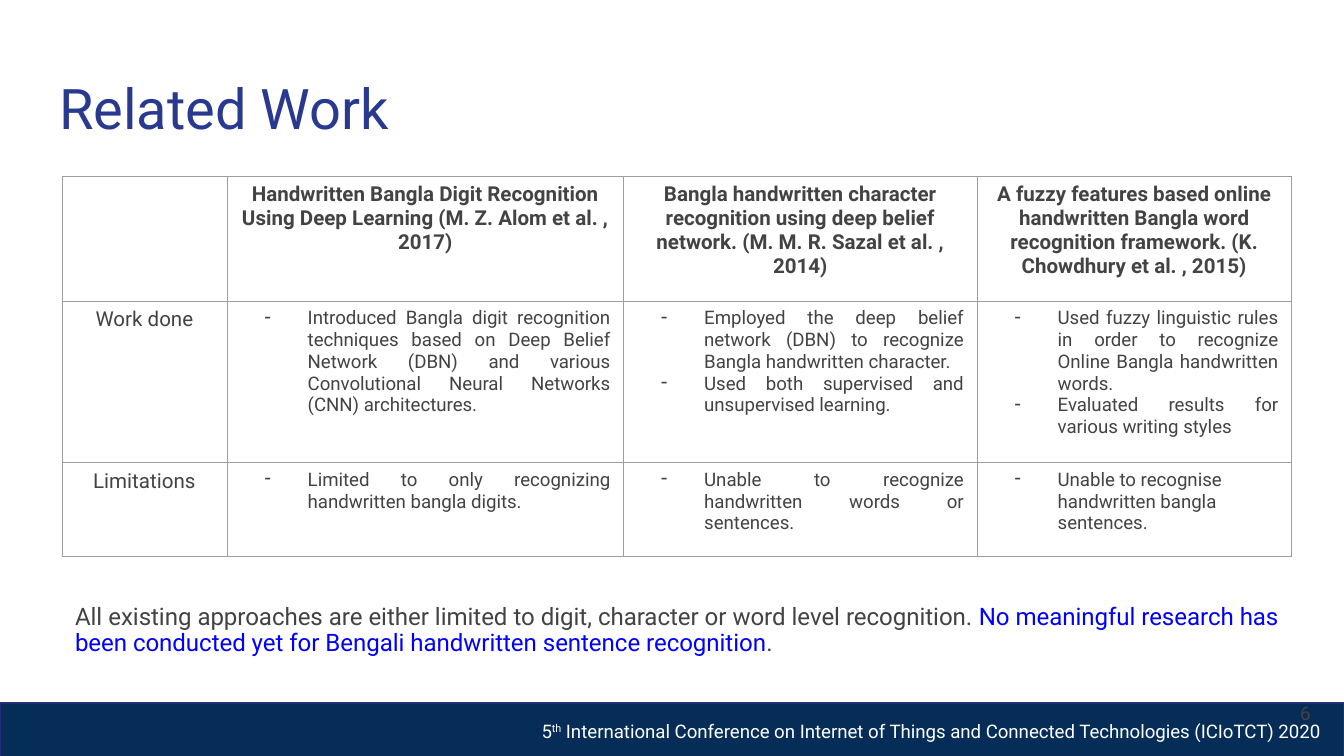
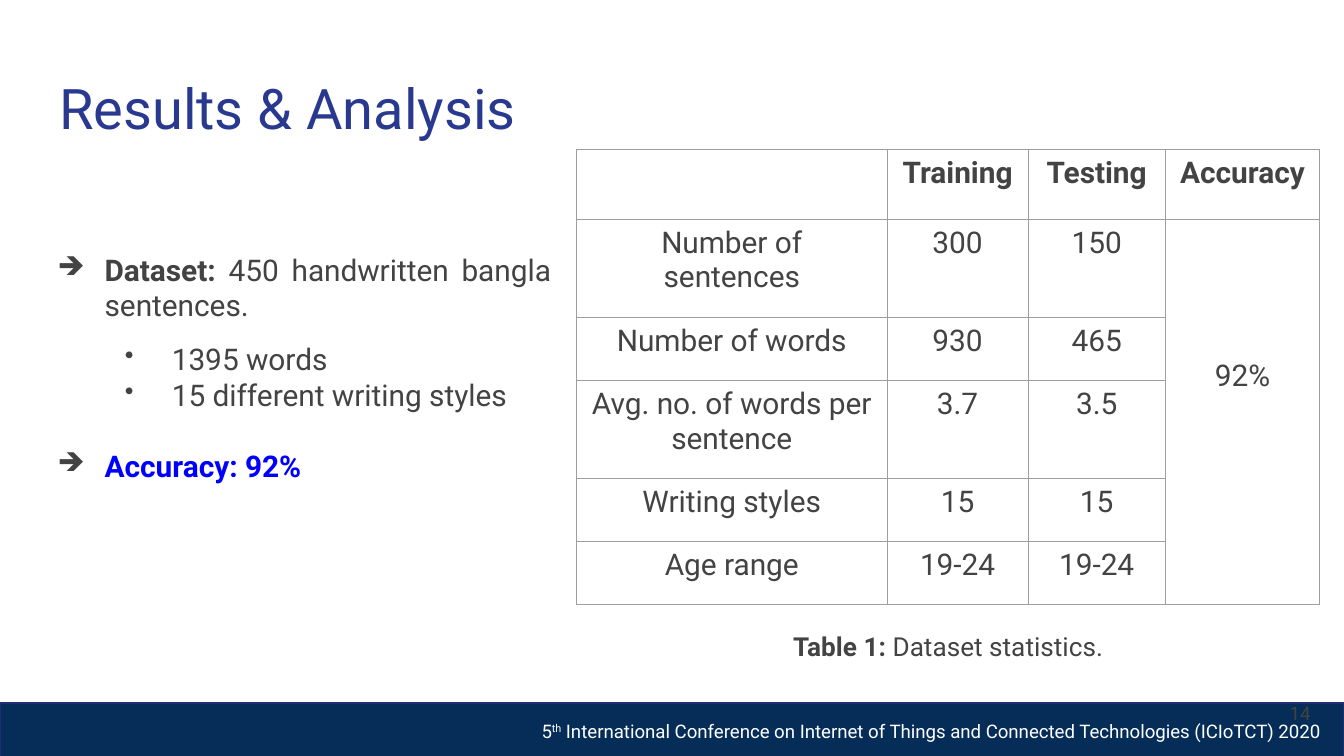
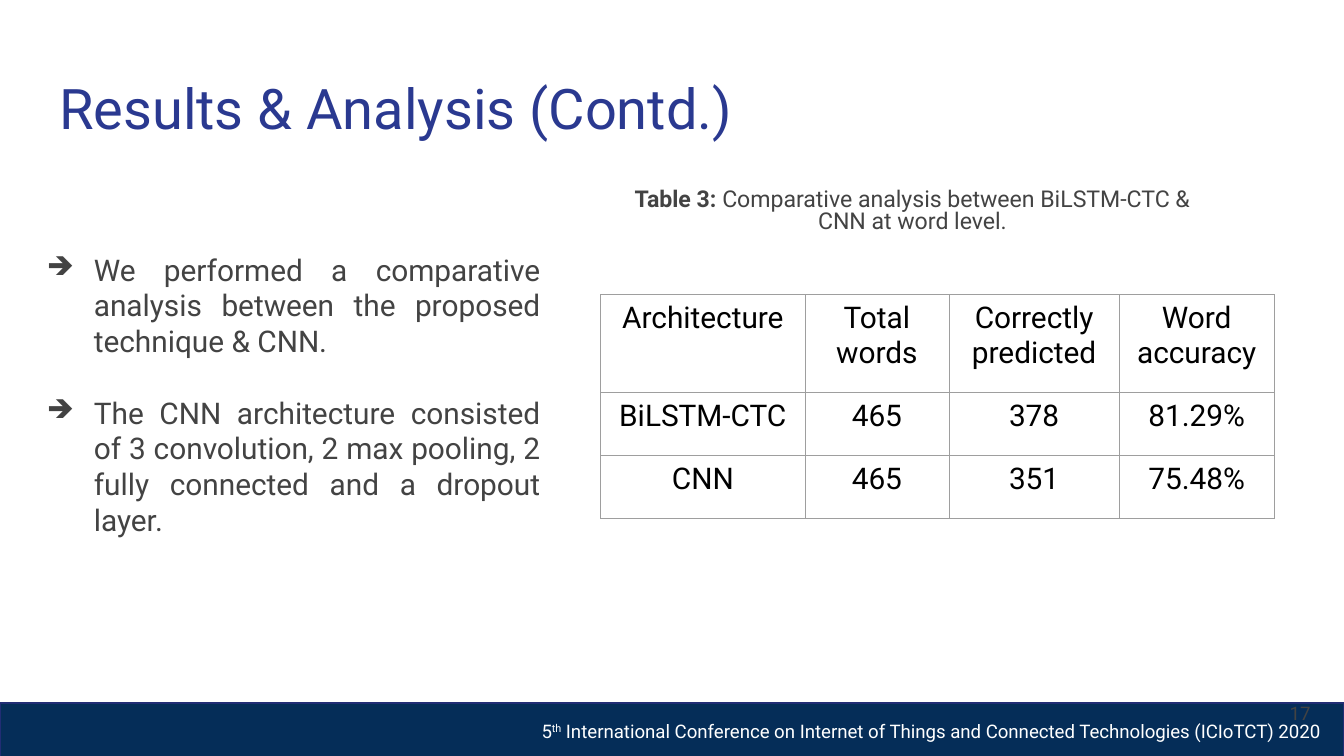
from dataclasses import dataclass

from lxml.etree import SubElement
from pptx import Presentation
from pptx.dml.color import RGBColor
from pptx.enum.shapes import MSO_SHAPE
from pptx.enum.text import MSO_ANCHOR, MSO_AUTO_SIZE, PP_ALIGN
from pptx.oxml.ns import qn
from pptx.util import Inches, Pt

COLUMNS, ROWS = 100, 56.25
UNIT = Inches(0.1)
FONT = "Roboto"
TITLE_BLUE = RGBColor(0x2A, 0x39, 0x90)
BAND_NAVY = RGBColor(0x05, 0x2D, 0x58)
BAND_EDGE = RGBColor(0x21, 0x2D, 0x74)
TEXT_GREY = RGBColor(0x43, 0x43, 0x43)
RULE_GREY = RGBColor(0x9E, 0x9E, 0x9E)
ACCENT_BLUE = RGBColor(0x00, 0x00, 0xFF)
WHITE = RGBColor(0xFF, 0xFF, 0xFF)
BLACK = RGBColor(0x00, 0x00, 0x00)


@dataclass
class Box:
    """A region measured in columns and rows of the slide grid."""

    left: float
    top: float
    width: float
    height: float

    def within(self, left, top, width, height):
        """Return a region placed relative to this one."""
        return Box(self.left + left, self.top + top, width, height)

    def emu(self):
        """Return left, top, width and height as lengths."""
        return [round(n * UNIT) for n in (self.left, self.top, self.width, self.height)]


PAGE = Box(0, 0, COLUMNS, ROWS)


def style(paragraph, size, color=TEXT_GREY, align=PP_ALIGN.LEFT, bold=False):
    """Set the font and alignment of a whole paragraph."""
    paragraph.alignment = align
    font = paragraph.font
    font.name, font.size, font.bold = FONT, Pt(size), bold
    font.color.rgb = color


def add_runs(paragraph, *runs):
    """Add runs given as text, bold and an optional colour."""
    for text, bold, *color in runs:
        run = paragraph.add_run()
        run.text = text
        if bold:
            run.font.bold = True
        if color:
            run.font.color.rgb = color[0]


def bullet(paragraph, mark, indent, hanging, percent=100):
    """Give a paragraph a hanging bullet."""
    props = paragraph._p.get_or_add_pPr()
    props.set("marL", str(Inches(indent)))
    props.set("indent", str(-Inches(hanging)))
    tint = SubElement(props, qn("a:buClr"))
    SubElement(tint, qn("a:srgbClr"), val=str(TEXT_GREY))
    SubElement(props, qn("a:buSzPct"), val=str(percent * 1000))
    SubElement(props, qn("a:buChar"), char=mark)


def set_frame(frame, inset=0.1, anchor=MSO_ANCHOR.TOP):
    """Set wrapping, insets and anchor of a text frame."""
    frame.word_wrap = True
    frame.auto_size = MSO_AUTO_SIZE.NONE
    frame.vertical_anchor = anchor
    frame.margin_left = frame.margin_right = Inches(0.1)
    frame.margin_top = frame.margin_bottom = Inches(inset)


def add_text(slide, box, **frame_options):
    """Add a text box and return its frame."""
    frame = slide.shapes.add_textbox(*box.emu()).text_frame
    set_frame(frame, **frame_options)
    return frame


def add_line(slide, box, runs, size, align, spacing=1.0, **frame_options):
    """Add a text box of one paragraph with mixed runs."""
    frame = add_text(slide, box, **frame_options)
    paragraph = frame.paragraphs[0]
    add_runs(paragraph, *runs)
    style(paragraph, size, align=align)
    paragraph.line_spacing = spacing
    return frame


def add_title(slide, box, title):
    """Move the title placeholder into the box and format it."""
    heading = slide.shapes.title
    heading.left, heading.top, heading.width, heading.height = box.emu()
    frame = heading.text_frame
    set_frame(frame)
    frame.text = title
    style(frame.paragraphs[0], 30, TITLE_BLUE)


def add_footer(slide, box):
    """Draw the band with the conference name."""
    band = slide.shapes.add_shape(MSO_SHAPE.RECTANGLE, *box.emu())
    band.shadow.inherit = False
    band.fill.solid()
    band.fill.fore_color.rgb = BAND_NAVY
    band.line.color.rgb = BAND_EDGE
    band.line.width = Pt(0.75)
    conference = add_text(slide, box.within(22.1, 0, 77.1, box.height)).paragraphs[0]
    add_runs(
        conference,
        ("5", False),
        ("th", False),
        (" International Conference on Internet of Things and Connected Technologies (ICIoTCT) 2020", False),
    )
    conference.runs[1]._r.get_or_add_rPr().set("baseline", "30000")
    style(conference, 10, WHITE, PP_ALIGN.RIGHT)
    conference.line_spacing = 1.15


def add_page(deck, title, title_width, number):
    """Add a slide with its title, footer and page number."""
    slide = deck.slides.add_slide(deck.slide_layouts[5])
    add_title(slide, PAGE.within(3.4, 4.5, title_width, 6.6), title)
    add_footer(slide, PAGE.within(0, 52.3, COLUMNS, 4.4))
    add_line(slide, PAGE.within(92.5, 50.9, 6, 4.3), [(str(number), False)], 10,
             PP_ALIGN.RIGHT, anchor=MSO_ANCHOR.MIDDLE)
    return slide


def rule_cell(cell):
    """Draw thin rules round a cell and clear its fill."""
    props = cell._tc.get_or_add_tcPr()
    for side in ("a:lnL", "a:lnR", "a:lnT", "a:lnB"):
        rule = SubElement(props, qn(side), w=str(Pt(0.34)))
        fill = SubElement(rule, qn("a:solidFill"))
        SubElement(fill, qn("a:srgbClr"), val=str(RULE_GREY))
    cell.fill.background()


def fill_cell(cell, content, size, color, bold):
    """Write centred text, or a dashed list when given a list."""
    if isinstance(content, str):
        cell.text = content
        style(cell.text_frame.paragraphs[0], size, color, PP_ALIGN.CENTER, bold)
        return
    cell.text = "\n".join(content)
    for paragraph in cell.text_frame.paragraphs:
        bullet(paragraph, "-", 0.5, 0.32)
        style(paragraph, size - 1, color, PP_ALIGN.JUSTIFY)


def add_grid(slide, box, widths, heights, content, size, color=TEXT_GREY, bold_header=True):
    """Add a ruled table whose first row is the header."""
    table = slide.shapes.add_table(len(heights), len(widths), *box.emu()).table
    table.first_row = table.horz_banding = False
    for column, width in zip(table.columns, widths):
        column.width = round(width * UNIT)
    for r, (row, height) in enumerate(zip(table.rows, heights)):
        row.height = round(height * UNIT)
        for cell, text in zip(row.cells, content[r]):
            rule_cell(cell)
            fill_cell(cell, text, size, color, bold_header and r == 0)
    return table


def add_points(slide, box, points):
    """Add a list of points, each with its runs and sub-points."""
    frame = add_text(slide, box)
    for i, (runs, details) in enumerate(points):
        point = frame.add_paragraph() if i else frame.paragraphs[0]
        add_runs(point, *runs)
        bullet(point, "➔", 0.5, 0.35, 87)
        style(point, 16, align=PP_ALIGN.JUSTIFY)
        if i:
            point.space_before = Pt(19)
        for j, text in enumerate(details):
            detail = frame.add_paragraph()
            detail.text = text
            detail.level = 1
            bullet(detail, "•", 1, 0.35, 87)
            style(detail, 16)
            detail.line_spacing = 1.0 if j else 1.5


def related_work(deck):
    """Build the comparison of earlier approaches."""
    slide = add_page(deck, "Related Work", 93.2, 6)
    body = PAGE.within(4.6, 13.1, 91.5, 37.5)
    table = add_grid(slide, body.within(0, 0, body.width, 28.3), (12.3, 29.5, 26.3, 23.4), (9.3, 12, 7), [
        ["",
         "Handwritten Bangla Digit Recognition Using Deep Learning (M. Z. Alom et al. , 2017)",
         "Bangla handwritten character recognition using deep belief network. (M. M. R. Sazal et al. , 2014)",
         "A fuzzy features based online handwritten Bangla word recognition framework. (K. Chowdhury et al. , 2015)"],
        ["Work done",
         ["Introduced Bangla digit recognition techniques based on Deep Belief Network (DBN) "
          "and various Convolutional Neural Networks (CNN) architectures."],
         ["Employed the deep belief network (DBN) to recognize Bangla handwritten character.",
          "Used both supervised and unsupervised learning."],
         ["Used fuzzy linguistic rules in order to recognize Online Bangla handwritten words.",
          "Evaluated results for various writing styles"]],
        ["Limitations",
         ["Limited to only recognizing handwritten bangla digits."],
         ["Unable to recognize handwritten words or sentences."],
         ["Unable to recognise handwritten bangla sentences."]],
    ], 11)
    table.cell(2, 3).text_frame.paragraphs[0].alignment = PP_ALIGN.LEFT
    add_line(slide, body.within(0, 30.9, body.width, 6.6), [
        ("All existing approaches are either limited to digit, character or word level recognition. ", False),
        ("No meaningful research has been conducted yet for Bengali handwritten sentence recognition",
         False, ACCENT_BLUE),
        (".", False),
    ], 12.9, PP_ALIGN.JUSTIFY, 0.9)


def dataset_results(deck):
    """Build the dataset summary and its statistics."""
    slide = add_page(deck, "Results & Analysis", 42.7, 14)
    add_points(slide, PAGE.within(1.8, 17.7, 40.2, 28.8), [
        ([("Dataset: ", True), ("450 handwritten bangla sentences.", False)],
         ["1395 words", "15 different writing styles"]),
        ([("Accuracy: 92%", True, ACCENT_BLUE)], []),
    ])
    panel = PAGE.within(42.9, 11.1, 55.4, 38.7)
    table = add_grid(slide, panel.within(0, 0, panel.width, 33.9), (23.1, 10.5, 10.2, 11.5),
                     (5.2, 7.3, 4.7, 7.3, 4.7, 4.7), [
        ["", "Training", "Testing", "Accuracy"],
        ["Number of sentences", "300", "150", "92%"],
        ["Number of words", "930", "465"],
        ["Avg. no. of words per sentence", "3.7", "3.5"],
        ["Writing styles", "15", "15"],
        ["Age range", "19-24", "19-24"],
    ], 16)
    accuracy = table.cell(1, 3)
    accuracy.merge(table.cell(5, 3))
    accuracy.margin_top = round(10.4 * UNIT)
    for row in range(2, 6):
        rule_cell(table.cell(row, 3))
    caption = add_line(slide, panel.within(2.7, 35.3, 49.9, 3.4),
                       [("Table 1: ", True), ("Dataset statistics.", False)],
                       14, PP_ALIGN.CENTER, inset=0.05)
    caption.auto_size = MSO_AUTO_SIZE.SHAPE_TO_FIT_TEXT


def comparison_results(deck):
    """Build the comparison between the two architectures."""
    slide = add_page(deck, "Results & Analysis (Contd.)", 54, 17)
    add_points(slide, PAGE.within(1, 17.7, 40.2, 20.9), [
        ([("We performed a comparative analysis between the proposed technique & CNN.", False)], []),
        ([("The CNN architecture consisted of 3 convolution, 2 max pooling, "
           "2 fully connected and a dropout layer.", False)], []),
    ])
    panel = PAGE.within(44.7, 13.1, 50.1, 25.5)
    add_grid(slide, panel.within(0, 8.8, panel.width, 16.7), (15.2, 10.7, 12.7, 11.5), (7.3, 4.7, 4.7), [
        ["Architecture", "Total words", "Correctly predicted", "Word accuracy"],
        ["BiLSTM-CTC", "465", "378", "81.29%"],
        ["CNN", "465", "351", "75.48%"],
    ], 16, BLACK, bold_header=False)
    add_line(slide, panel.within(0, 0, 46.4, 6.6), [
        ("Table 3: ", True),
        ("Comparative analysis between BiLSTM-CTC & CNN at word level.", False),
    ], 12.4, PP_ALIGN.CENTER, 0.8)


def main():
    """Build the deck and save it."""
    deck = Presentation()
    deck.slide_width, deck.slide_height = round(COLUMNS * UNIT), round(ROWS * UNIT)
    related_work(deck)
    dataset_results(deck)
    comparison_results(deck)
    deck.save("out.pptx")


if __name__ == "__main__":
    main()
